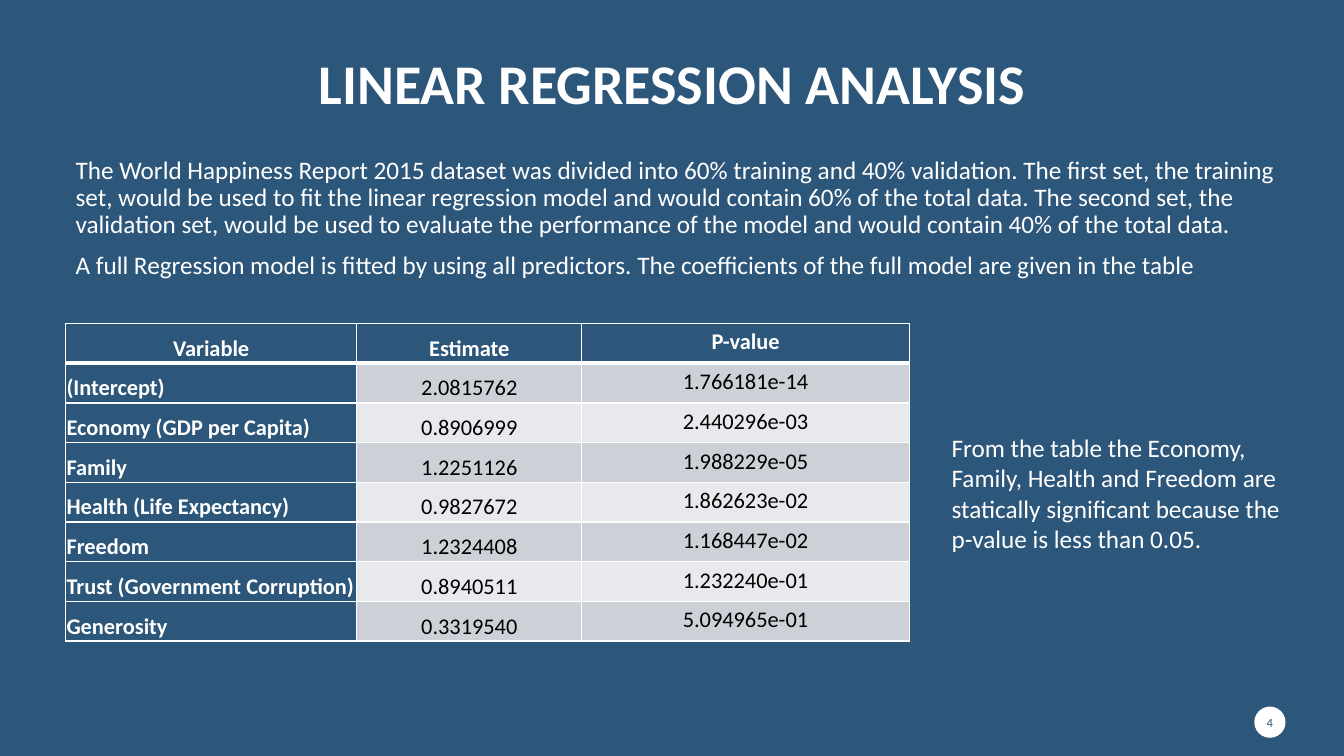
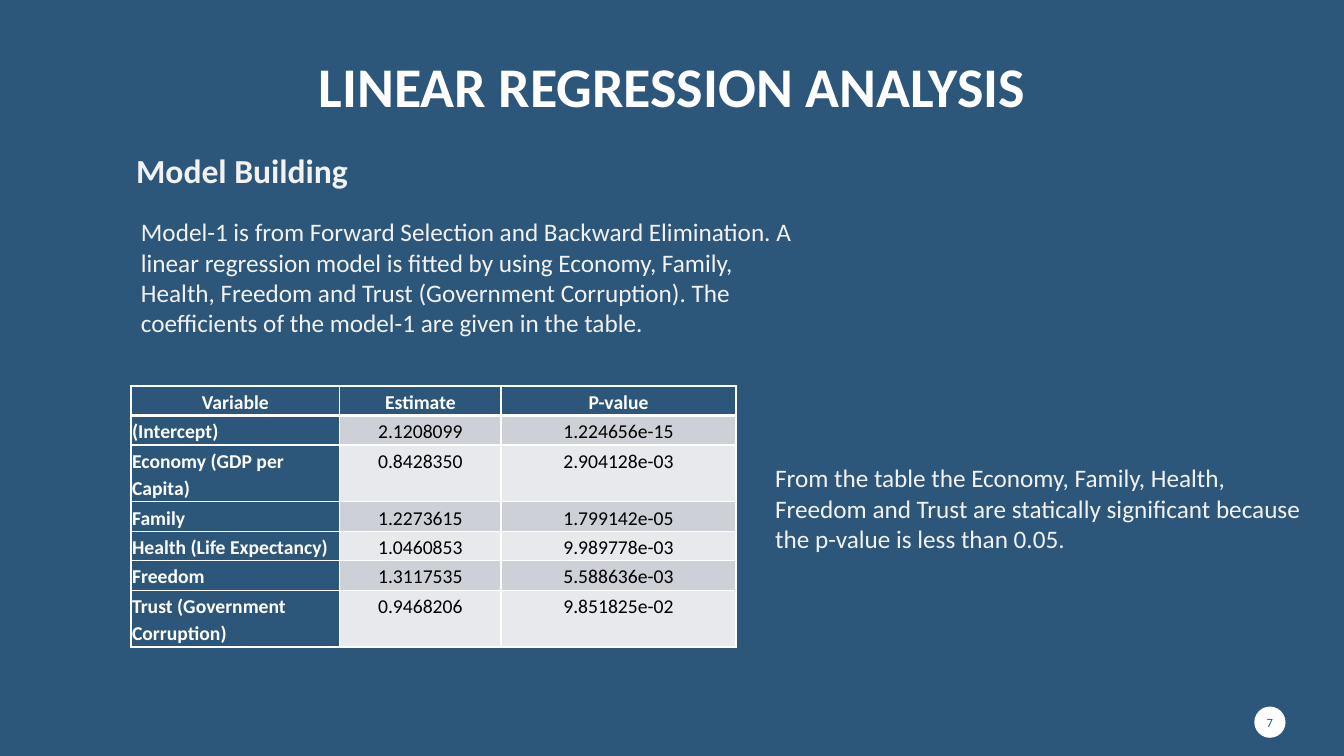
from lxml import etree
from pptx import Presentation
from pptx.dml.color import RGBColor
from pptx.enum.shapes import MSO_SHAPE as Shape
from pptx.enum.text import MSO_ANCHOR as Anchor, MSO_AUTO_SIZE as Auto, PP_ALIGN as Align
from pptx.oxml.ns import qn
from pptx.util import Inches, Pt

# Shared style
FONT = "Calibri"
HUES = {"blue": "2C567A", "white": "FFFFFF", "soft": "F2F2F2",
        "black": "000000", "dark": "CDD1D7", "light": "E8E9EC"}
TITLE = "LINEAR REGRESSION ANALYSIS"
HEAD = ("Variable", "Estimate", "P-value")

# Content: boxes are left, top, width, height
SLIDES = [
    {
        "page": "4",
        "title": (1.25, 0.49, 10.83, 0.72),
        "body": {
            "box": (0.65, 1.51, 12.1, 0.72), "size": 18, "hue": "white",
            "text": [
                "The World Happiness Report 2015 dataset was divided into 60% training and "
                "40% validation. The first set, the training set, would be used to fit the "
                "linear regression model and would contain 60% of the total data. The second "
                "set, the validation set, would be used to evaluate the performance of the "
                "model and would contain 40% of the total data.",
                "A full Regression model is fitted by using all predictors. The coefficients "
                "of the full model are given in the table",
            ],
        },
        "table": {
            "at": (0.65, 3.21), "cols": (2.89, 2.23, 3.25), "height": 3.15,
            "size": 16, "mid": Anchor.BOTTOM,
            "rows": [
                ("(Intercept)", "2.0815762", "1.766181e-14"),
                ("Economy (GDP per Capita)", "0.8906999", "2.440296e-03"),
                ("Family", "1.2251126", "1.988229e-05"),
                ("Health (Life Expectancy)", "0.9827672", "1.862623e-02"),
                ("Freedom", "1.2324408", "1.168447e-02"),
                ("Trust (Government Corruption)", "0.8940511", "1.232240e-01"),
                ("Generosity", "0.3319540", "5.094965e-01"),
            ],
        },
        "notes": [
            ((9.34, 4.24, 3.63, 1.31), "white",
             "From the table the Economy, Family, Health and Freedom are statically "
             "significant because the p-value is less than 0.05."),
        ],
    },
    {
        "page": "7",
        "title": (1.25, 0.5, 10.83, 0.74),
        "body": {
            "box": (1.25, 1.48, 6.06, 0.39), "size": 24, "hue": "soft", "bold": True,
            "text": ["Model Building"],
        },
        "table": {
            "at": (1.3, 3.83), "cols": (2.07, 1.6, 2.33), "height": 1.4,
            "size": 14, "mid": Anchor.TOP,
            "rows": [
                ("(Intercept)", "2.1208099", "1.224656e-15"),
                ("Economy (GDP per Capita)", "0.8428350", "2.904128e-03"),
                ("Family", "1.2273615", "1.799142e-05"),
                ("Health (Life Expectancy)", "1.0460853", "9.989778e-03"),
                ("Freedom", "1.3117535", "5.588636e-03"),
                ("Trust (Government Corruption)", "0.9468206", "9.851825e-02"),
            ],
        },
        "notes": [
            ((1.3, 2.1, 6.66, 1.31), "soft",
             "Model-1 is from Forward Selection and Backward Elimination. A linear "
             "regression model is fitted by using Economy, Family, Health, Freedom and "
             "Trust (Government Corruption). The coefficients of the model-1 are given "
             "in the table."),
            ((7.59, 4.54, 5.54, 1.01), "soft",
             "From the table the Economy, Family, Health, Freedom and Trust are statically "
             "significant because the p-value is less than 0.05."),
        ],
    },
]


def color(name):
    return RGBColor.from_string(HUES[name])


def paint(shape, name):
    shape.fill.solid()
    shape.fill.fore_color.rgb = color(name)


def place(shape, box):
    shape.left, shape.top, shape.width, shape.height = map(Inches, box)


def write(frame, texts, size, hue, bold=False, align=Align.LEFT, line=1.0, gap=0):
    frame.word_wrap = True
    for i, text in enumerate(texts):
        para = frame.add_paragraph() if i else frame.paragraphs[0]
        para.alignment, para.line_spacing, para.space_before = align, line, Pt(gap)
        run = para.add_run()
        run.text = text
        font = run.font
        font.name, font.size, font.bold = FONT, Pt(size), bold
        font.color.rgb = color(hue)


def no_bullet(para):
    props = para._p.get_or_add_pPr()
    props.set("marL", "0")
    props.set("indent", "0")
    etree.SubElement(props, qn("a:buNone"))


def border(cell, **widths):
    props = cell._tc.get_or_add_tcPr()
    for side in "LRTB":
        line = etree.SubElement(props, qn("a:ln" + side), w=str(Pt(widths.get(side, 1))))
        fill = etree.SubElement(line, qn("a:solidFill"))
        etree.SubElement(fill, qn("a:srgbClr"), val=HUES["white"])


def add_grid(slide, spec):
    rows = [HEAD] + spec["rows"]
    left, top = map(Inches, spec["at"])
    table = slide.shapes.add_table(len(rows), len(HEAD), left, top,
                                   Inches(sum(spec["cols"])), Inches(spec["height"])).table
    for col, width in zip(table.columns, spec["cols"]):
        col.width = Inches(width)
    for r, row in enumerate(rows):
        for c, text in enumerate(row):
            cell = table.cell(r, c)
            label = r == 0 or c == 0
            # Heavy rule under the header row
            border(cell, T=3 if r == 1 else 1, B=3 if r == 0 else 1)
            paint(cell, "blue" if label else "dark" if r % 2 else "light")
            cell.margin_left = cell.margin_right = Inches(0.01)
            cell.margin_top = cell.margin_bottom = Inches(0.01)
            mid = Anchor.BOTTOM if r == 0 else spec["mid"]
            cell.vertical_anchor = (Anchor.BOTTOM, mid, Anchor.TOP)[c]
            write(cell.text_frame, [text], spec["size"], "white" if label else "black",
                  label, Align.LEFT if r and c == 0 else Align.CENTER, 1.15)


def add_badge(slide, page):
    dot = slide.shapes.add_shape(Shape.OVAL, *map(Inches, (12.44, 7.01, 0.31, 0.31)))
    dot.shadow.inherit = False
    paint(dot, "white")
    dot.line.fill.background()
    frame = dot.text_frame
    frame.margin_left = frame.margin_right = frame.margin_top = frame.margin_bottom = 0
    frame.vertical_anchor = Anchor.MIDDLE
    write(frame, [page], 9, "blue", align=Align.CENTER)
    frame.word_wrap = False


def build(deck, data):
    slide = deck.slides.add_slide(deck.slide_layouts[1])
    # Title and body
    title, body = slide.shapes.title, slide.placeholders[1]
    place(title, data["title"])
    title.text_frame.auto_size = Auto.NONE
    title.text_frame.vertical_anchor = Anchor.BOTTOM
    write(title.text_frame, [TITLE], 40, "white", True, Align.CENTER, 0.9)
    part = data["body"]
    place(body, part["box"])
    body.text_frame.auto_size = Auto.NONE
    write(body.text_frame, part["text"], part["size"], part["hue"],
          part.get("bold", False), line=0.9, gap=10)
    for para in body.text_frame.paragraphs:
        no_bullet(para)
    # Table, remarks and page number
    add_grid(slide, data["table"])
    for box, hue, text in data["notes"]:
        note = slide.shapes.add_textbox(*map(Inches, box))
        write(note.text_frame, [text], 18, hue)
    add_badge(slide, data["page"])


def main():
    deck = Presentation()
    deck.slide_width, deck.slide_height = Inches(13.33), Inches(7.5)
    paint(deck.slide_master.background, "blue")
    for data in SLIDES:
        build(deck, data)
    deck.save("out.pptx")


if __name__ == "__main__":
    main()
